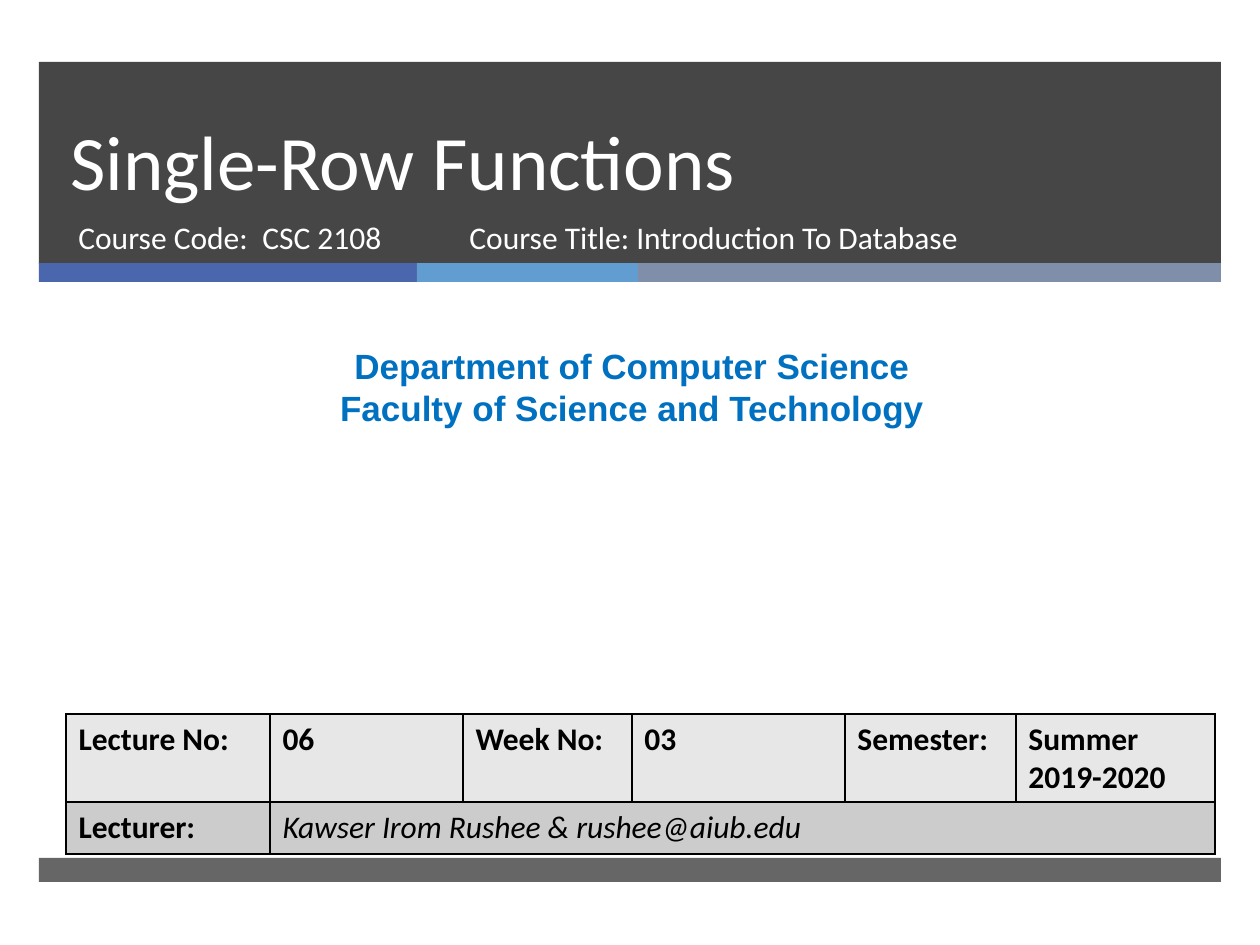
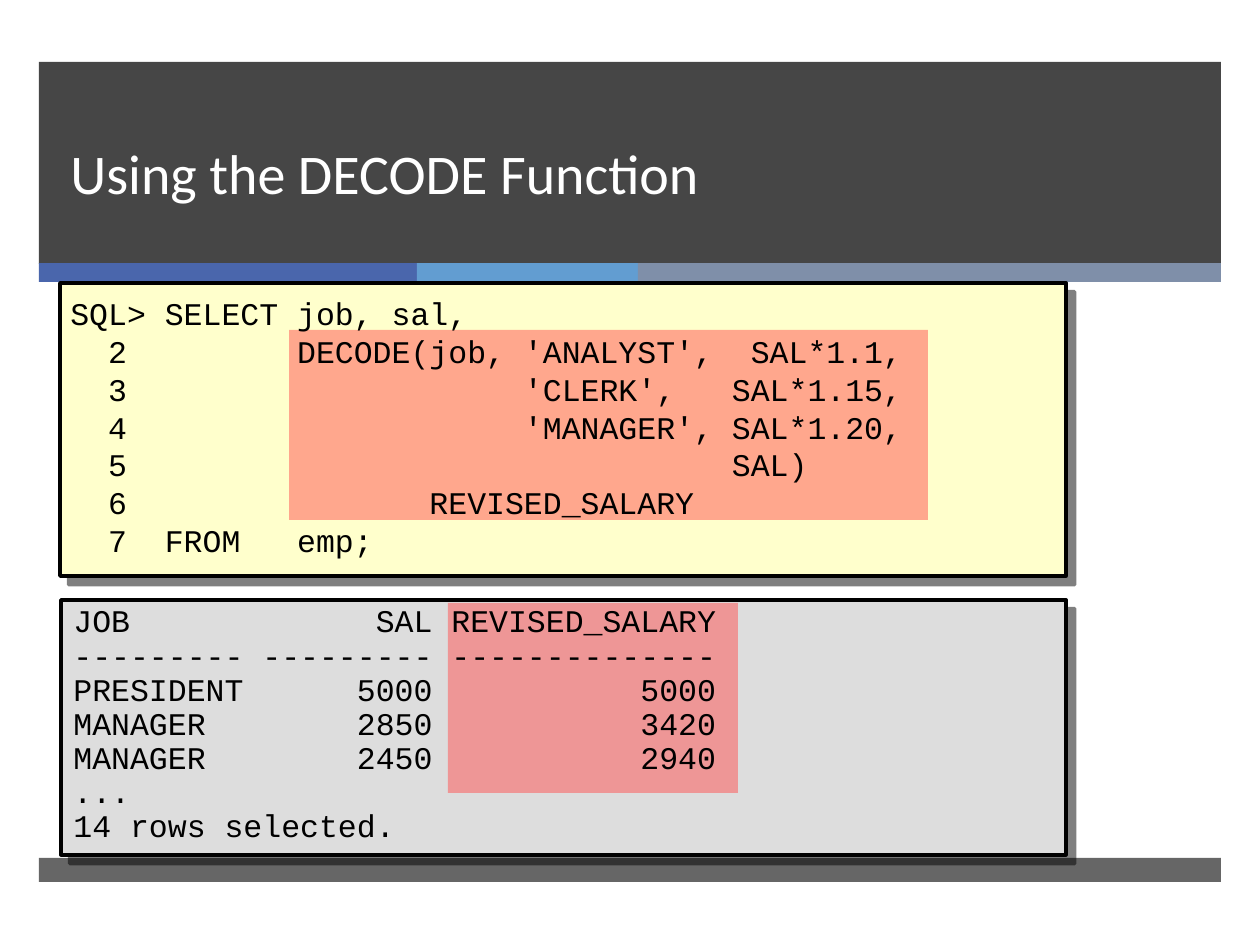
from pptx import Presentation
from pptx.dml.color import RGBColor as RGB
from pptx.enum.shapes import MSO_SHAPE as Shape
from pptx.enum.text import MSO_ANCHOR as Anchor, PP_ALIGN as Align
from pptx.oxml.ns import qn
from pptx.util import Pt
from lxml.etree import SubElement as Sub

UNIT = 914400 / 126
HUES = {
    "dark": "262626", "navy": "4A66AC", "sky": "629DD1", "slate": "7F8FA9",
    "white": "FFFFFF", "black": "000000", "blue": "0070C0", "light": "E7E7E7",
    "gray": "CCCCCC", "cream": "FFFFCC", "ash": "DDDDDD", "red": "FF5050",
}
BANDS = [("navy", 378), ("sky", 221), ("slate", 583)]
COLS = [204, 193, 169, 213, 171, 199]
ROWS = [88, 52]
FACTS = [
    ["Lecture No:", "06", "Week No:", "03", "Semester:", "Summer 2019-2020"],
    ["Lecturer:", "Kawser Irom Rushee & rushee@aiub.edu"],
]
QUERY = [
    "SQL> SELECT job, sal,",
    "  2         DECODE(job, 'ANALYST',  SAL*1.1,",
    "  3                     'CLERK',   SAL*1.15,",
    "  4                     'MANAGER', SAL*1.20,",
    "  5                                SAL)",
    "  6                REVISED_SALARY",
    "  7  FROM   emp;",
]
RESULT = [
    "JOB             SAL REVISED_SALARY",
    "--------- --------- --------------",
    "PRESIDENT      5000           5000",
    "MANAGER        2850           3420",
    "MANAGER        2450           2940",
    "...",
    "14 rows selected.",
]


def px(num):
    """Turn pixels into EMU."""
    return round(num * UNIT)


def tint(name):
    """Look up a colour by name."""
    return RGB.from_string(HUES[name])


def style(para, size, hue, face="Calibri", bold=False, slant=False):
    """Set the font of a paragraph."""
    font = para.font
    font.size, font.name = Pt(size), face
    font.bold, font.italic = bold, slant
    font.color.rgb = tint(hue)


def rect(slide, box, hue, alpha=100):
    """Draw a plain rectangle."""
    shape = slide.shapes.add_shape(Shape.RECTANGLE, *map(px, box))
    shape.shadow.inherit = False
    shape.fill.solid()
    shape.fill.fore_color.rgb = tint(hue)
    shape.line.fill.background()
    if alpha < 100:
        color = shape._element.spPr.find(".//" + qn("a:srgbClr"))
        Sub(color, qn("a:alpha"), val=str(alpha * 1000))
    return shape


def write(slide, box, lines, size, hue, face="Calibri", bold=False,
          pitch=None, align=Align.LEFT, anchor=Anchor.TOP, tab=None):
    """Write lines of text in a box."""
    frame = slide.shapes.add_textbox(*map(px, box)).text_frame
    frame.word_wrap = True
    frame.vertical_anchor = anchor
    for num, line in enumerate(lines):
        para = frame.add_paragraph() if num else frame.paragraphs[0]
        para.text = line
        para.alignment = align
        if pitch:
            para.line_spacing = Pt(pitch)
        if tab:
            stops = Sub(para._p.get_or_add_pPr(), qn("a:tabLst"))
            Sub(stops, qn("a:tab"), pos=str(px(tab)), algn="l")
        style(para, size, hue, face, bold)


def base(deck, title, size):
    """Add a slide with header, bands, footer and title."""
    slide = deck.slides.add_slide(deck.slide_layouts[6])
    left, top, wide = 39, 62, 1182
    rect(slide, (left, top, wide, 202), "dark", 85)
    edge = left
    for hue, width in BANDS:
        rect(slide, (edge, 263, width, 19), hue)
        edge += width
    rect(slide, (left, 858, wide, 24), "dark", 70)
    write(slide, (left + 19, top, 1076, 150), [title], size, "white",
          pitch=46, anchor=Anchor.BOTTOM)
    return slide


def edges(cell):
    """Draw the four borders of a cell."""
    props = cell._tc.get_or_add_tcPr()
    for side in "LRTB":
        line = Sub(props, qn("a:ln" + side), w=str(Pt(1)))
        Sub(Sub(line, qn("a:solidFill")), qn("a:srgbClr"), val=HUES["black"])


def facts(slide, left, top):
    """Add the table of lecture facts."""
    box = left, top, sum(COLS), sum(ROWS)
    table = slide.shapes.add_table(len(ROWS), len(COLS), *map(px, box)).table
    for col, width in zip(table.columns, COLS):
        col.width = px(width)
    for num, (row, high, hue) in enumerate(zip(table.rows, ROWS, ("light", "gray"))):
        row.height = px(high)
        for cell in row.cells:
            edges(cell)
            cell.fill.solid()
            cell.fill.fore_color.rgb = tint(hue)
        for col, (cell, text) in enumerate(zip(row.cells, FACTS[num])):
            cell.text = text
            slant = num == 1 and col == 1
            style(cell.text_frame.paragraphs[0], 18, "black",
                  bold=not slant, slant=slant)
    table.cell(1, 1).merge(table.cell(1, 5))


def panel(slide, box, hue, mark, lines, pitch, shift, anchor):
    """Add a shadowed code panel with a marked region."""
    left, top, wide, high = box
    shape = rect(slide, box, hue)
    shape.line.color.rgb = tint("black")
    shape.line.width = Pt(2)
    glow = Sub(shape._element.spPr.find(qn("a:effectLst")), qn("a:outerShdw"),
               dist=str(Pt(7.1)), dir="2700000", algn="ctr", rotWithShape="0")
    color = Sub(glow, qn("a:srgbClr"), val=HUES["black"])
    Sub(color, qn("a:alpha"), val="50000")
    over, down, width, depth = mark
    rect(slide, (left + over, top + down, width, depth), "red", 50)
    write(slide, (left + shift[0], top + shift[1], wide, high), lines, 18,
          "black", "Courier New", pitch=pitch, anchor=anchor)


def cover(deck):
    """Build the opening slide."""
    slide = base(deck, "Single-Row Functions", 44)
    write(slide, (66, 212, 384, 67), ["Course Code:\tCSC 2108"], 18, "white",
          tab=184)
    write(slide, (457, 212, 573, 67), ["Course Title: Introduction To Database"],
          18, "white")
    write(slide, (10, 338, 1244, 97),
          ["Department of Computer Science", "Faculty of Science and Technology"],
          20, "blue", "Arial", True, 24, Align.CENTER)
    facts(slide, 66, 714)


def decode(deck):
    """Build the slide on the DECODE function."""
    slide = base(deck, "Using the DECODE Function", 32)
    panel(slide, (60, 283, 1006, 293), "cream", (229, 47, 639, 190),
          QUERY, 21.6, (-2, -3), Anchor.MIDDLE)
    panel(slide, (61, 600, 1005, 255), "ash", (387, 3, 290, 190),
          RESULT, 19.5, (0, -1), Anchor.TOP)


def main():
    """Build and save the deck."""
    deck = Presentation()
    deck.slide_width, deck.slide_height = px(1260), px(945)
    cover(deck)
    decode(deck)
    deck.save("out.pptx")


if __name__ == "__main__":
    main()
